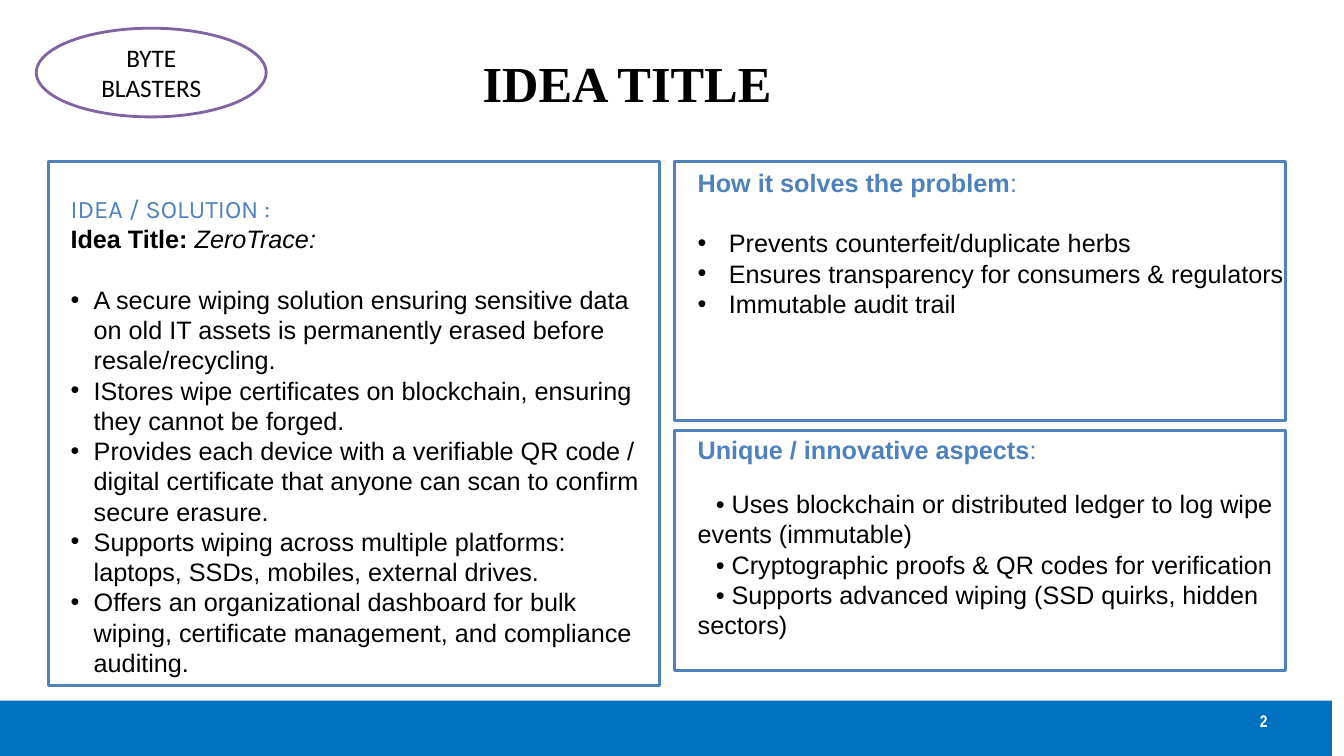
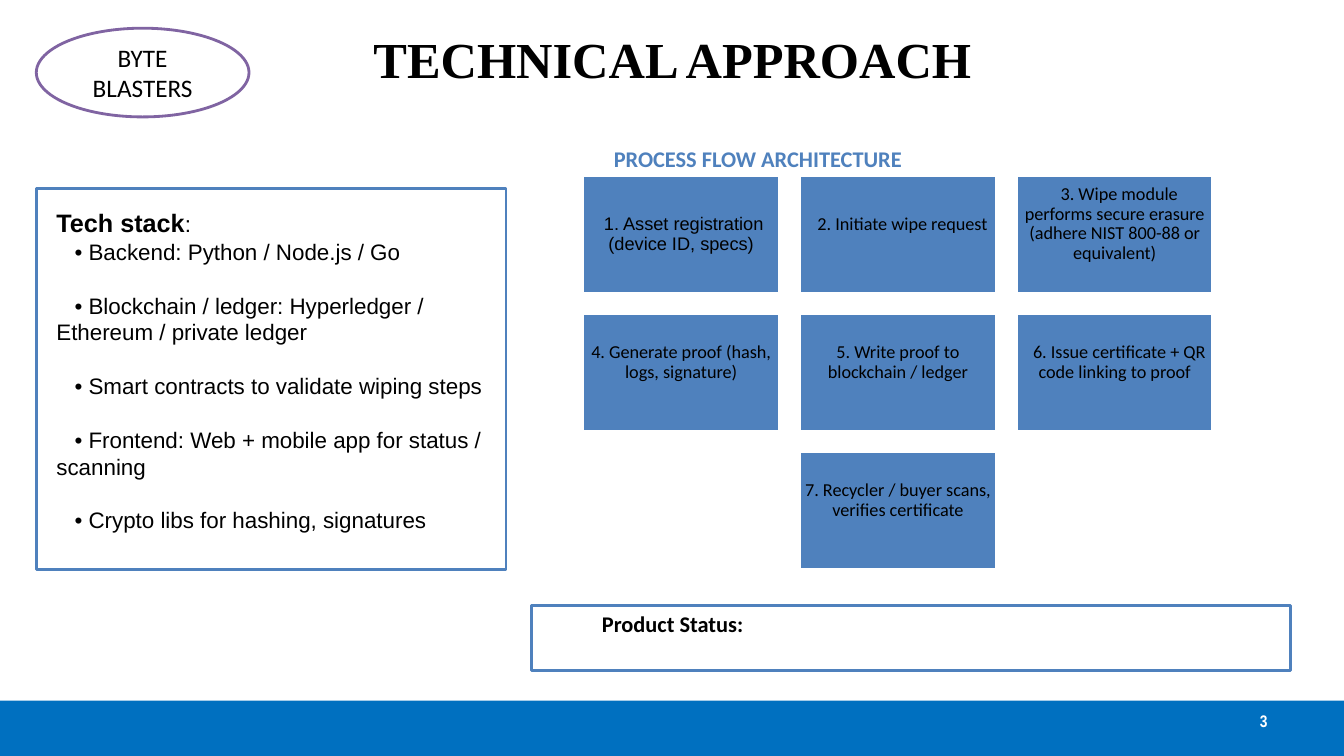
import dataclasses

import lxml.etree
import pptx
import pptx.dml.color
import pptx.enum.shapes
import pptx.enum.text
import pptx.oxml.ns
import pptx.util

PX = 9144  # EMU in one px, 100 px to the inch
SLIDE_SIZE = (1333, 750)
COLORS = {
    "blue": "4F81BD",
    "band": "0070C0",
    "purple": "8064A2",
    "black": "000000",
    "white": "FFFFFF",
}
INSETS = (10, 5, 10, 5)  # left, top, right, bottom

SHAPES = pptx.enum.shapes.MSO_SHAPE
ALIGN = pptx.enum.text.PP_ALIGN
ANCHOR = pptx.enum.text.MSO_ANCHOR


@dataclasses.dataclass
class Span:
    text: str
    bold: bool = None
    italic: bool = None
    size: int = None


@dataclasses.dataclass
class Para:
    spans: list
    size: int = 18
    font: str = "Arial"
    color: str = "black"
    bold: bool = False
    align: object = ALIGN.LEFT
    gap: float = 0  # space before, in points
    margin: int = 0
    indent: int = 0
    bullet: bool = False
    line: float = None


def px(value):
    return pptx.util.Emu(value * PX)


def rgb(name):
    return pptx.dml.color.RGBColor.from_string(COLORS[name])


# Text
def set_indent(paragraph, para):
    properties = paragraph._p.get_or_add_pPr()
    properties.set("marL", str(px(para.margin)))
    properties.set("indent", str(px(para.indent)))
    if para.bullet:
        for tag, key, value in (("a:buFont", "typeface", "Arial"), ("a:buChar", "char", "•")):
            element = lxml.etree.SubElement(properties, pptx.oxml.ns.qn(tag))
            element.set(key, value)


def write(box, paras, anchor=ANCHOR.MIDDLE, insets=INSETS):
    frame = box.text_frame
    frame.word_wrap = True
    frame.vertical_anchor = anchor
    (frame.margin_left, frame.margin_top,
     frame.margin_right, frame.margin_bottom) = map(px, insets)
    for number, para in enumerate(paras):
        paragraph = frame.add_paragraph() if number else frame.paragraphs[0]
        set_indent(paragraph, para)
        paragraph.alignment = para.align
        if para.gap:
            paragraph.space_before = pptx.util.Pt(para.gap)
        if para.line:
            paragraph.line_spacing = para.line
        font = paragraph.font
        font.name, font.size, font.bold = para.font, pptx.util.Pt(para.size), para.bold
        font.color.rgb = rgb(para.color)
        for span in para.spans:
            run = paragraph.add_run()
            run.text = span.text
            # Each run takes its colour, as shapes bring their own
            run.font.color.rgb = rgb(para.color)
            if span.bold is not None:
                run.font.bold = span.bold
            if span.italic is not None:
                run.font.italic = span.italic
            if span.size:
                run.font.size = pptx.util.Pt(span.size)


def text_box(page, place, paras, **layout):
    box = page.shapes.add_textbox(*map(px, place))
    write(box, paras, **layout)


def heading(text):
    return Para([Span(text, bold=True), Span(":")], color="blue")


def bullets(texts, hang, gap):
    """Bulleted paragraphs; the gap stands before the first one."""
    return [Para([Span(text)], bullet=True, margin=hang, indent=-hang,
                 gap=0 if number else gap)
            for number, text in enumerate(texts)]


def inline_bullets(texts, size, first_gap, gap):
    """Bullets set in the line, with wrapped lines back at the margin."""
    return [Para([Span("• " + text)], size=size, indent=18,
                 gap=gap if number else first_gap)
            for number, text in enumerate(texts)]


# Shapes
def shape(page, kind, place, fill=None, line=None):
    box = page.shapes.add_shape(kind, *map(px, place))
    box.shadow.inherit = False
    if fill:
        box.fill.solid()
        box.fill.fore_color.rgb = rgb(fill)
    else:
        box.fill.background()
    if line:
        box.line.color.rgb = rgb(line)
        box.line.width = pptx.util.Pt(2)
    else:
        box.line.fill.background()
    return box


def panel(page, place, paras, insets):
    box = shape(page, SHAPES.RECTANGLE, place, line="blue")
    write(box, paras, anchor=ANCHOR.TOP, insets=insets)


def step(page, column, row, text, lead, lift):
    """A process step; lead indents its first line, lift raises its text."""
    width, height, gap = 195, 117, 20
    place = (578 + column * (width + gap), 174 + row * (height + gap), width, height)
    box = shape(page, SHAPES.RECTANGLE, place, fill="blue", line="white")
    para = Para([Span(text)], size=13, font="Arial" if not lift else "Calibri",
                align=ALIGN.CENTER, indent=lead, line=0.9)
    write(box, [para], insets=(5, 5, 5, 5 + lift))


# What the slides share
def add_page(deck, number, title, title_place, band_width, badge_width):
    page = deck.slides.add_slide(deck.slide_layouts[6])
    shape(page, SHAPES.RECTANGLE, (0, 695, band_width, 55), fill="band")
    text_box(page, title_place, [
        Para([Span(title)], size=36, font="Times New Roman", bold=True, align=ALIGN.CENTER)])
    text_box(page, (956, 695, 311, 40), [
        Para([Span(str(number))], size=12, font="Arial Narrow", color="white",
             bold=True, align=ALIGN.RIGHT)])
    badge = shape(page, SHAPES.OVAL, (36, 28, badge_width, 88), fill="white", line="purple")
    write(badge, [Para([Span("BYTE BLASTERS")], font="Calibri", align=ALIGN.CENTER)])
    return page


# Slides
def idea_slide(deck):
    page = add_page(deck, 2, "IDEA TITLE", (22, 31, 1200, 102), 1321, 228)
    idea = [
        Para([Span("IDEA / SOLUTION :")], font="Karla", color="blue"),
        Para([Span("Idea Title: ", bold=True), Span("ZeroTrace:", italic=True)]),
    ] + bullets([
        "A secure wiping solution ensuring sensitive data on old IT assets is "
        "permanently erased before resale/recycling.",
        "IStores wipe certificates on blockchain, ensuring they cannot be forged.",
        "Provides each device with a verifiable QR code / digital certificate that "
        "anyone can scan to confirm secure erasure.",
        "Supports wiping across multiple platforms: laptops, SSDs, mobiles, external drives.",
        "Offers an organizational dashboard for bulk wiping, certificate management, "
        "and compliance auditing.",
    ], hang=23, gap=21.6)
    solves = [heading("How it solves the problem")] + bullets([
        "Prevents counterfeit/duplicate herbs",
        "Ensures transparency for consumers & regulators",
        "Immutable audit trail",
    ], hang=31, gap=21.6)
    unique = [heading("Unique / innovative aspects")] + inline_bullets([
        "Uses blockchain or distributed ledger to log wipe events (immutable)",
        "Cryptographic proofs & QR codes for verification",
        "Supports advanced wiping (SSD quirks, hidden sectors)",
    ], size=18, first_gap=17, gap=0)
    panel(page, (48, 160, 606, 520), idea, (22, 32, 10, 0))
    panel(page, (669, 160, 606, 257), solves, (23, 6, 0, 5))
    panel(page, (669, 427, 606, 238), unique, (23, 4, 0, 5))


def approach_slide(deck):
    page = add_page(deck, 3, "TECHNICAL APPROACH", (67, -5, 1200, 125), 1333, 211)
    stack = [Para([Span("Tech stack", bold=True, size=18), Span(":")], size=16)]
    stack += inline_bullets([
        "Backend: Python / Node.js / Go",
        "Blockchain / ledger: Hyperledger / Ethereum / private ledger",
        "Smart contracts to validate wiping steps",
        "Frontend: Web + mobile app for status / scanning",
        "Crypto libs for hashing, signatures",
    ], size=16, first_gap=0, gap=19.2)
    panel(page, (36, 187, 466, 378), stack, (20, 19, 19, 5))
    text_box(page, (599, 139, 316, 37), [
        Para([Span("PROCESS FLOW ARCHITECTURE")], size=16, font="Calibri",
             color="blue", bold=True)], anchor=ANCHOR.TOP)
    panel(page, (527, 601, 753, 64), [
        Para([Span("Product Status:")], size=16, font="Calibri", bold=True)], (70, 4, 10, 5))

    # Process flow: column, row, text, lead, lift
    for flow_step in (
        (0, 0, "1. Asset registration (device ID, specs)", 5, 0),
        (1, 0, "2. Initiate wipe request", 9, 20),
        (2, 0, "3. Wipe module performs secure erasure (adhere NIST 800-88 or equivalent)", 9, 20),
        (0, 1, "4. Generate proof (hash, logs, signature)", 0, 20),
        (1, 1, "5. Write proof to blockchain / ledger", 0, 20),
        (2, 1, "6. Issue certificate + QR code linking to proof", 9, 20),
        (1, 2, "7. Recycler / buyer scans, verifies certificate", 0, 20),
    ):
        step(page, *flow_step)


def main():
    deck = pptx.Presentation()
    deck.slide_width, deck.slide_height = map(px, SLIDE_SIZE)
    idea_slide(deck)
    approach_slide(deck)
    deck.save("out.pptx")


if __name__ == "__main__":
    main()
